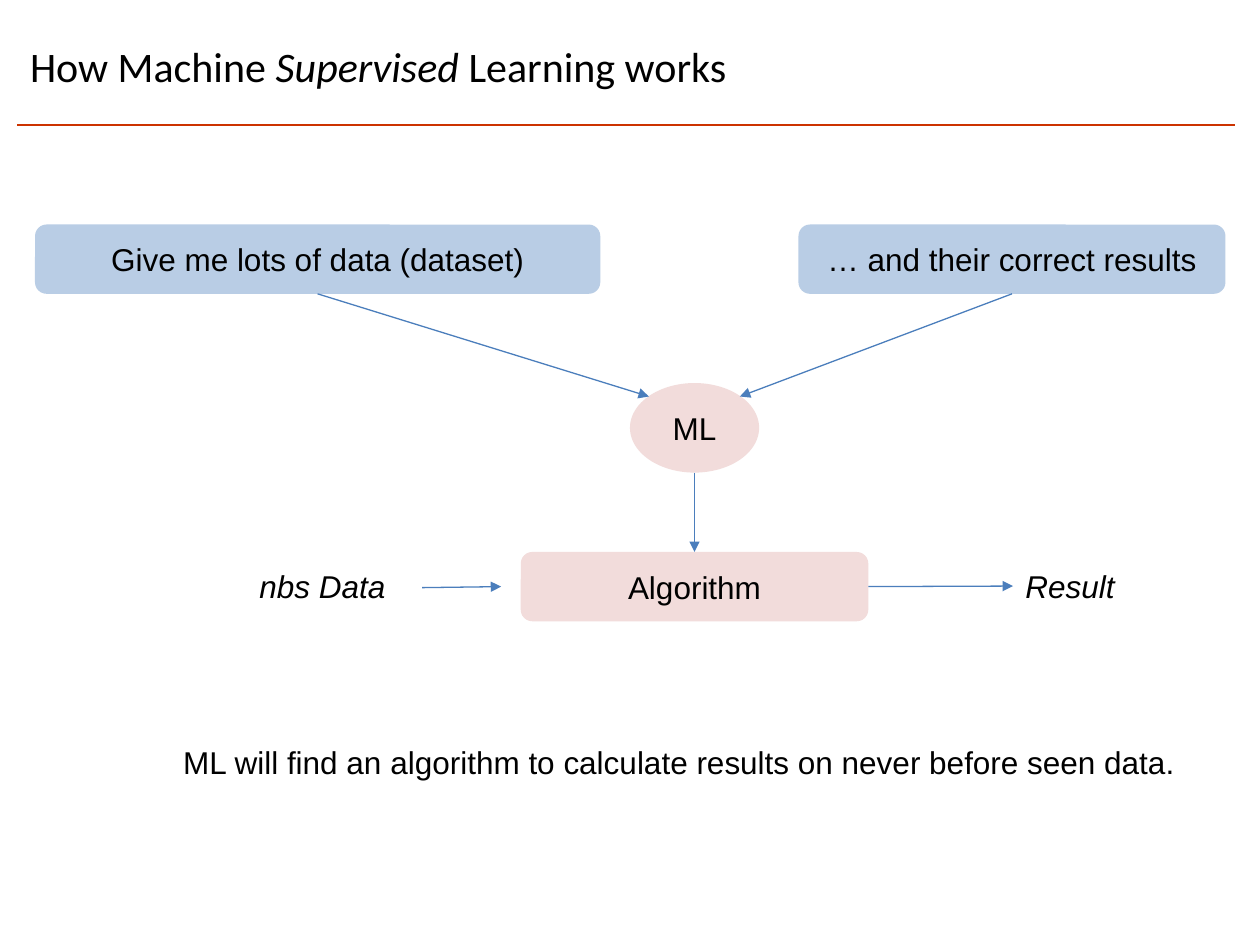
from pptx import Presentation
from pptx.dml.color import RGBColor
from pptx.enum import shapes, text
from pptx.oxml import ns
from pptx.util import Pt
from lxml import etree

BLUE, PINK, ARROW, RULE, BLACK = "B9CDE5", "F2DCDB", "4B7EBC", "CC3300", "000000"
BOTTOM, RIGHT, TOP, LEFT = 2, 3, 0, 1


def colour(value):
    return RGBColor.from_string(value)


def format_run(run, **values):
    for name, value in values.items():
        setattr(run.font, name, value)
    run.font.color.rgb = colour(BLACK)


def write(frame, words, align, italic=None):
    paragraph = frame.paragraphs[0]
    paragraph.alignment = align
    run = paragraph.add_run()
    run.text = words
    format_run(run, name="Arial", size=Pt(18), italic=italic)


def add_title(slide, parts):
    title = slide.shapes.title
    place = {"left": 10, "top": 4.3, "width": 634.3, "height": 67}
    for name, value in place.items():
        setattr(title, name, Pt(value))
    frame = title.text_frame
    frame.vertical_anchor = text.MSO_ANCHOR.MIDDLE
    frame.auto_size = text.MSO_AUTO_SIZE.NONE
    paragraph = frame.paragraphs[0]
    paragraph.alignment = text.PP_ALIGN.LEFT
    for words, italic in parts:
        run = paragraph.add_run()
        run.text = words
        format_run(run, name="Calibri", size=Pt(24), italic=italic)


def add_node(slide, kind, place, fill, words):
    node = slide.shapes.add_shape(kind, *map(Pt, place))
    node.shadow.inherit = False
    node.fill.solid()
    node.fill.fore_color.rgb = colour(fill)
    node.line.fill.background()
    node.text_frame.vertical_anchor = text.MSO_ANCHOR.MIDDLE
    write(node.text_frame, words, text.PP_ALIGN.CENTER)
    return node


def add_label(slide, place, words, align=text.PP_ALIGN.LEFT, italic=None, wrap=True):
    label = slide.shapes.add_textbox(*map(Pt, place))
    label.text_frame.word_wrap = wrap
    label.text_frame.auto_size = text.MSO_AUTO_SIZE.SHAPE_TO_FIT_TEXT
    write(label.text_frame, words, align, italic)
    return label


def add_line(slide, start, end, stroke=ARROW, width=0.75, arrow=True):
    line = slide.shapes.add_connector(
        shapes.MSO_CONNECTOR.STRAIGHT, *map(Pt, start + end))
    line.line.color.rgb = colour(stroke)
    line.line.width = Pt(width)
    if arrow:
        outline = line.line._get_or_add_ln()
        etree.SubElement(outline, ns.qn("a:tailEnd"), type="triangle")
    etree.SubElement(line._element.spPr, ns.qn("a:effectLst"))
    return line


def main():
    deck = Presentation()
    deck.slide_width, deck.slide_height = Pt(720), Pt(540)
    slide = deck.slides.add_slide(deck.slide_layouts[5])

    add_line(slide, (10, 71.3), (705.6, 71.3), RULE, 1, arrow=False)
    add_title(slide, [("How Machine ", None), ("Supervised ", True),
                      ("Learning works", False)])

    rounded = shapes.MSO_SHAPE.ROUNDED_RECTANGLE
    dataset = add_node(slide, rounded, (20, 128.3, 323, 39.6), BLUE,
                       "Give me lots of data (dataset)")
    answers = add_node(slide, rounded, (456.3, 128.3, 244, 39.6), BLUE,
                       "… and their correct results")
    algorithm = add_node(slide, rounded, (297.6, 315.4, 198.6, 39.6), PINK,
                         "Algorithm")
    add_node(slide, shapes.MSO_SHAPE.OVAL, (360, 218.9, 73.8, 51.2), PINK, "ML")

    add_label(slide, (76.3, 421.2, 623.5, 29),
              "ML will find an algorithm to calculate results on never before seen data.",
              text.PP_ALIGN.CENTER)
    add_label(slide, (141.1, 320.4, 120.2, 29), "nbs Data", italic=True)
    result = add_label(slide, (578.9, 320.4, 66.2, 29), "Result",
                       italic=True, wrap=False)

    add_line(slide, (181.5, 167.9), (370.8, 226.6)).begin_connect(dataset, BOTTOM)
    add_line(slide, (578.3, 167.9), (422.8, 226.6)).begin_connect(answers, BOTTOM)
    add_line(slide, (396.9, 270.1), (396.9, 315.4)).end_connect(algorithm, TOP)
    add_line(slide, (241.2, 335.8), (286.4, 335.2))
    output = add_line(slide, (496.2, 335.2), (578.9, 335.2))
    output.begin_connect(algorithm, RIGHT)
    output.end_connect(result, LEFT)

    deck.save("out.pptx")


if __name__ == "__main__":
    main()
